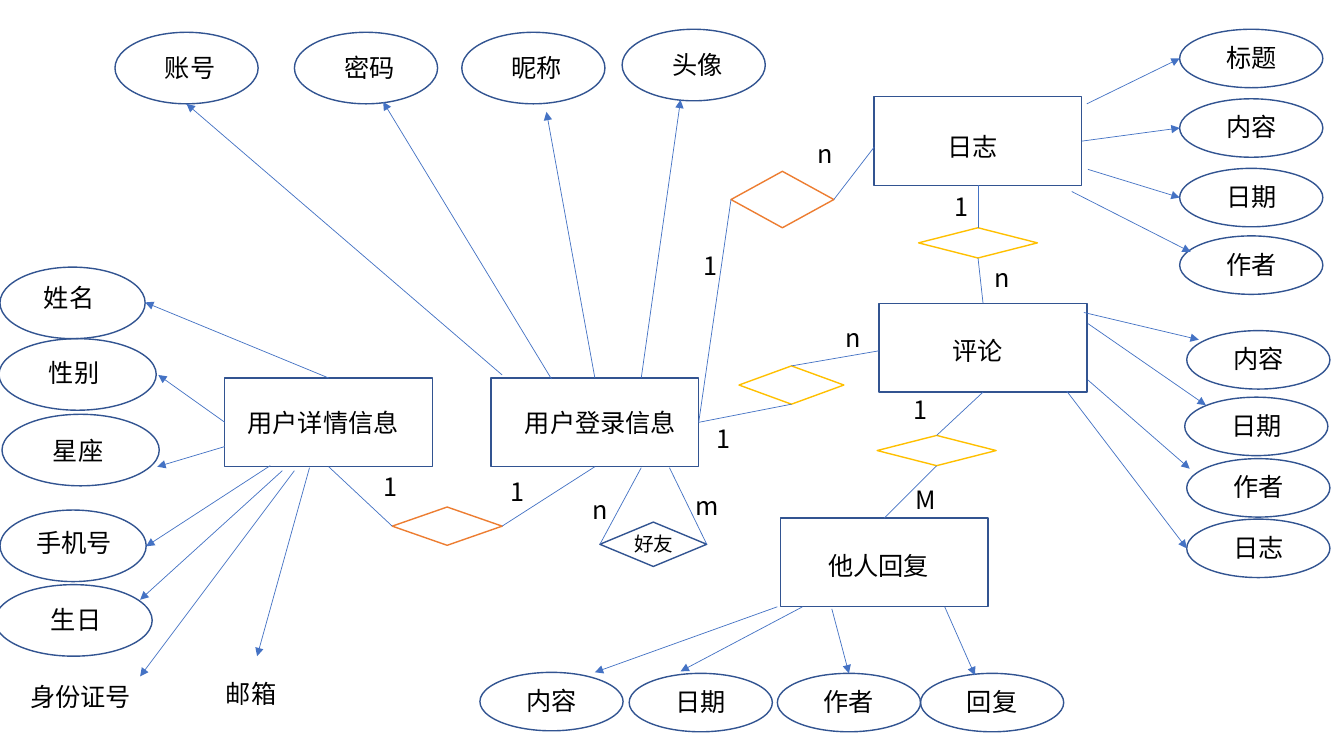
import pptx
import pptx.dml.color
import pptx.enum.shapes
import pptx.enum.text
import pptx.oxml.ns
import pptx.util
from lxml import etree

COLORS = {"outline": "325491", "link": "4472C4", "text": "000000",
          "orange": "ED7D31", "gold": "FFC000", "white": "FFFFFF"}
FONT = "Noto Sans CJK SC"
COLUMNS, ROWS = 13.33, 7.5
ENTITY_SIZE = (2.06, 0.88)
TALL_OVAL, FLAT_OVAL = 0.71, 0.58
OVAL_WIDTH = 1.42
SHAPES = pptx.enum.shapes.MSO_SHAPE
ALIGN = pptx.enum.text.PP_ALIGN

presentation = pptx.Presentation()
presentation.slide_width = pptx.util.Inches(COLUMNS)
presentation.slide_height = pptx.util.Inches(ROWS)
COLUMN = presentation.slide_width / COLUMNS
ROW = presentation.slide_height / ROWS


def rgb(name):
    """Return the named colour."""
    return pptx.dml.color.RGBColor.from_string(COLORS[name])


def place(origin, x, y):
    """Turn grid offsets from an origin into slide lengths."""
    return round((origin[0] + x) * COLUMN), round((origin[1] + y) * ROW)


def add_text(slide, origin, spot, text, size=18, height=0.4, align=ALIGN.CENTER):
    """Add one line of text at a spot given as x, y and width."""
    x, y, width = spot
    shape = slide.shapes.add_textbox(*place(origin, x, y), *place((0, 0), width, height))
    frame = shape.text_frame
    frame.word_wrap = True
    frame.auto_size = pptx.enum.text.MSO_AUTO_SIZE.SHAPE_TO_FIT_TEXT
    paragraph = frame.paragraphs[0]
    paragraph.alignment = align
    run = paragraph.add_run()
    run.text = text
    run.font.size = pptx.util.Pt(size)
    run.font.name = FONT
    run.font.color.rgb = rgb("text")
    east_asian = etree.SubElement(run.font._element, pptx.oxml.ns.qn("a:ea"))
    east_asian.set("typeface", FONT)


def add_outline(slide, origin, kind, bounds, color="outline", fill=None):
    """Add an outlined preset shape."""
    x, y, width, height = bounds
    shape = slide.shapes.add_shape(kind, *place(origin, x, y), *place((0, 0), width, height))
    shape.shadow.inherit = False
    if fill:
        shape.fill.solid()
        shape.fill.fore_color.rgb = rgb(fill)
    else:
        shape.fill.background()
    shape.line.color.rgb = rgb(color)
    shape.line.width = pptx.util.Pt(1)


def add_link(slide, origin, start, end, arrow=False):
    """Add a thin line, with an arrowhead at its end if asked."""
    connector = slide.shapes.add_connector(
        pptx.enum.shapes.MSO_CONNECTOR.STRAIGHT, *place(origin, *start), *place(origin, *end))
    connector.line.color.rgb = rgb("link")
    connector.line.width = pptx.util.Pt(0.5)
    if arrow:
        tail = etree.SubElement(connector.line._get_or_add_ln(), pptx.oxml.ns.qn("a:tailEnd"))
        tail.set("type", "triangle")
    etree.SubElement(connector._element.spPr, pptx.oxml.ns.qn("a:effectLst"))


def even_attributes(height, label, rows):
    """Give ovals of equal size, each with its label at the same offset."""
    shift_x, shift_y, width = label
    return [(text, (x, y, OVAL_WIDTH, height), (x + shift_x, y + shift_y, width), start, end)
            for text, x, y, start, end in rows]


def add_entity(slide, box, title, corner, title_shift, attributes):
    """Draw an entity and its attributes from the top left of the region's box."""
    x, y = corner
    add_outline(slide, box, SHAPES.RECTANGLE, (x, y, *ENTITY_SIZE))
    add_text(slide, box, (x + title_shift[0], y + title_shift[1], 1.95), title)
    for text, oval, label, start, end in attributes:
        if oval:
            add_outline(slide, box, SHAPES.OVAL, oval)
        add_text(slide, box, label, text)
        add_link(slide, box, start, end, arrow=True)


def add_relation(slide, box, color, upright, ends, labels, fill=None, name=None,
                 align=ALIGN.CENTER):
    """Draw a relation diamond in its box, its two links and its cardinalities."""
    width, height = box[2:]
    add_outline(slide, box, SHAPES.DIAMOND, (0, 0, width, height), color, fill)
    if upright:
        tips = (width / 2, 0), (width / 2, height)
    else:
        tips = (0, height / 2), (width, height / 2)
    for tip, end in zip(tips, ends):
        add_link(slide, box, tip, end)
    for text, *spot in labels:
        add_text(slide, box, spot, text, align=align)
    if name:
        add_text(slide, box, (0.22, 0.05, 0.63), name, size=14, height=0.34)


LOGIN = even_attributes(TALL_OVAL, (0.25, 0.15, 0.99), [
    ("账号", 0.14, 0.32, (3.98, 3.72), (0.85, 1.03)),
    ("密码", 1.92, 0.32, (4.47, 3.76), (2.8, 1.01)),
    ("昵称", 3.58, 0.32, (4.9, 3.75), (4.42, 1.11)),
    ("头像", 5.17, 0.29, (5.36, 3.75), (5.75, 0.99))])
DETAILS = [
    ("姓名", (0, 0.15, 1.44, TALL_OVAL), (0.21, 0.25, 0.95), (3.26, 1.25), (1.44, 0.5)),
    ("性别", (-0.01, 0.86, 1.56, TALL_OVAL), (0.26, 1, 0.95), (2.23, 1.69), (1.57, 1.22)),
    ("星座", (0.02, 1.61, 1.56, TALL_OVAL), (0.3, 1.77, 0.95), (2.23, 1.93), (1.56, 2.13)),
    ("手机号", (0, 2.56, 1.45, TALL_OVAL), (0.16, 2.68, 1.15), (2.68, 2.12), (1.45, 2.92)),
    ("生日", (-0.05, 3.3, 1.56, TALL_OVAL), (0.18, 3.45, 1.15), (2.8, 2.17), (1.39, 3.45)),
    ("身份证号", None, (0.16, 4.21, 1.28), (2.92, 2.17), (1.39, 4.21)),
    ("邮箱", None, (1.85, 4.18, 1.28), (3.07, 2.14), (2.55, 4.01))]
FLAT_LABEL = (0.24, 0.08, 0.94)
DIARY = even_attributes(FLAT_OVAL, FLAT_LABEL, [
    ("标题", 3.2, 0.29, (2.28, 1.03), (3.2, 0.58)),
    ("内容", 3.2, 0.98, (2.23, 1.4), (3.2, 1.27)),
    ("日期", 3.2, 1.67, (2.29, 1.68), (3.2, 1.96)),
    ("作者", 3.2, 2.34, (2.13, 1.9), (3.31, 2.5))])
COMMENT = even_attributes(FLAT_OVAL, FLAT_LABEL, [
    ("内容", 3.27, 0.28, (2.25, 0.1), (3.39, 0.37)),
    ("日期", 3.25, 0.94, (2.29, 0.21), (3.46, 1.02)),
    ("作者", 3.27, 1.55, (2.29, 0.77), (3.3, 1.65)),
    ("日志", 3.27, 2.15, (2.08, 0.88), (3.27, 2.44))])
REPLY = even_attributes(FLAT_OVAL, FLAT_LABEL, [
    ("内容", 0.26, 1.67, (3.21, 1.02), (1.4, 1.67)),
    ("日期", 1.74, 1.68, (3.46, 1.02), (2.25, 1.66)),
    ("作者", 3.21, 1.68, (3.75, 1.04), (3.92, 1.68)),
    ("回复", 4.63, 1.68, (4.87, 1.02), (5.17, 1.7))])

slide = presentation.slides.add_slide(presentation.slide_layouts[6])
add_entity(slide, (1, 0), "用户登录信息", (3.87, 3.75), (0.11, 0.24), LOGIN)
add_entity(slide, (0, 2.5), "用户详情信息", (2.23, 1.25), (0, 0.24), DETAILS)
add_entity(slide, (8.5, 0), "日志", (0.17, 0.96), (0, 0.29), DIARY)
add_entity(slide, (8.5, 3), "评论", (0.22, 0.01), (0, 0.27), COMMENT)
add_entity(slide, (4.5, 5), "他人回复", (3.24, 0.14), (0, 0.27), REPLY)

add_relation(slide, (3.89, 5.03, 1.09, 0.38), "orange", False, [(-0.63, -0.4), (2.01, -0.4)],
             [("1", -0.18, -0.4, 0.33), ("1", 1.08, -0.35, 0.33)], fill="white")
add_relation(slide, (7.25, 1.7, 1.02, 0.56), "orange", False, [(-0.32, 2.49), (1.42, -0.24)],
             [("1", -0.37, 0.73, 0.23), ("n", 0.6, -0.38, 0.67)], fill="white")
add_relation(slide, (9.11, 2.26, 1.18, 0.3), "gold", True, [(0.59, -0.42), (0.64, 0.75)],
             [("1", 0.18, -0.41, 0.49), ("n", 0.43, 0.29, 0.79)])
add_relation(slide, (8.7, 4.32, 1.18, 0.3), "gold", True, [(1.05, -0.43), (0.07, 0.82)],
             [("1", 0.18, -0.46, 0.49), ("M", 0.24, 0.44, 0.49)])
add_relation(slide, (7.33, 3.63, 1.04, 0.38), "gold", True, [(1.39, -0.15), (-0.4, 0.56)],
             [("n", 0.76, -0.48, 0.74), ("1", -0.46, 0.52, 0.62)])
add_relation(slide, (5.95, 5.18, 1.06, 0.44), "outline", False, [(0.41, -0.54), (0.69, -0.54)],
             [("n", -0.17, -0.32, 0.27), ("m", 0.85, -0.36, 0.32)], name="好友",
             align=ALIGN.LEFT)

presentation.save("out.pptx")
